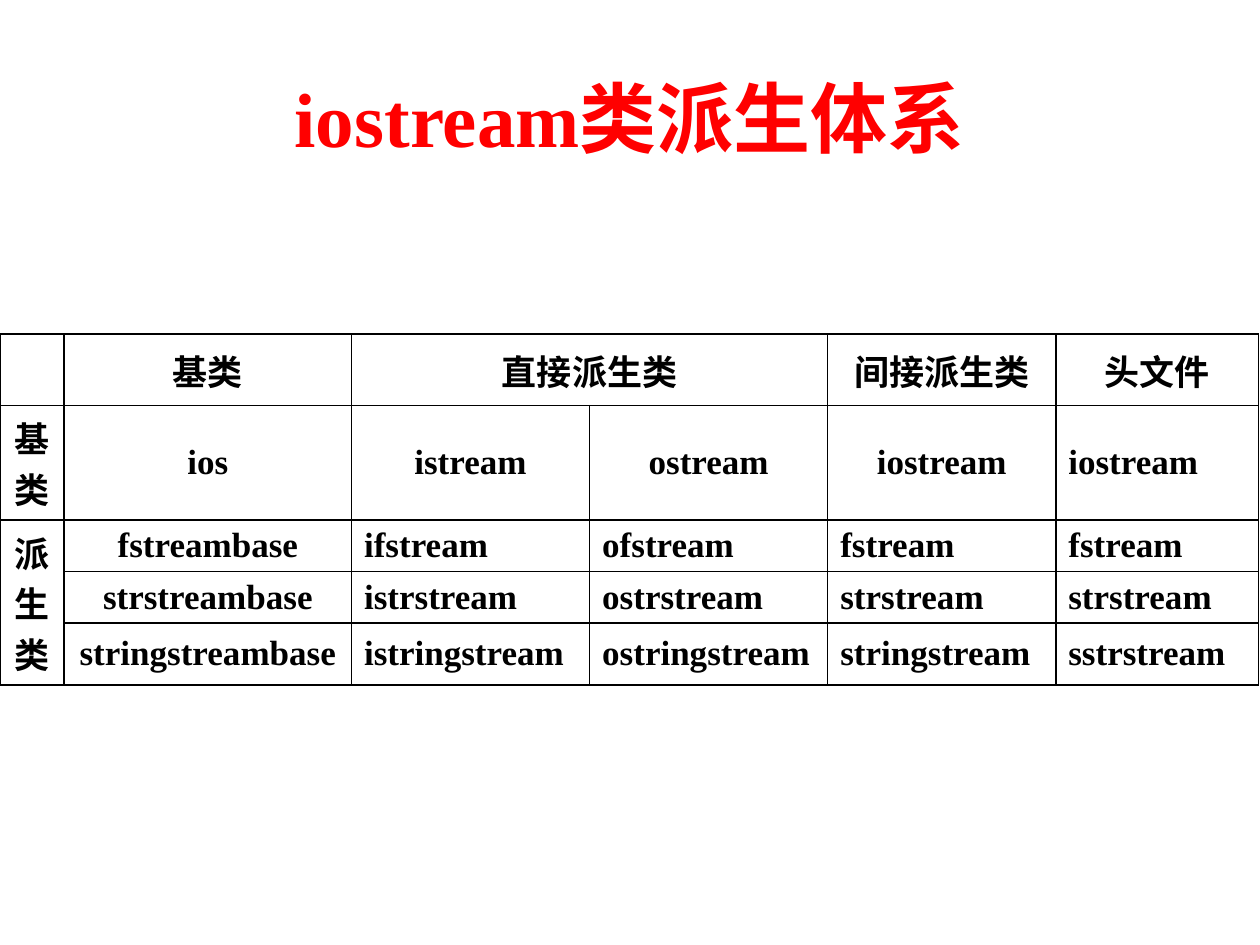
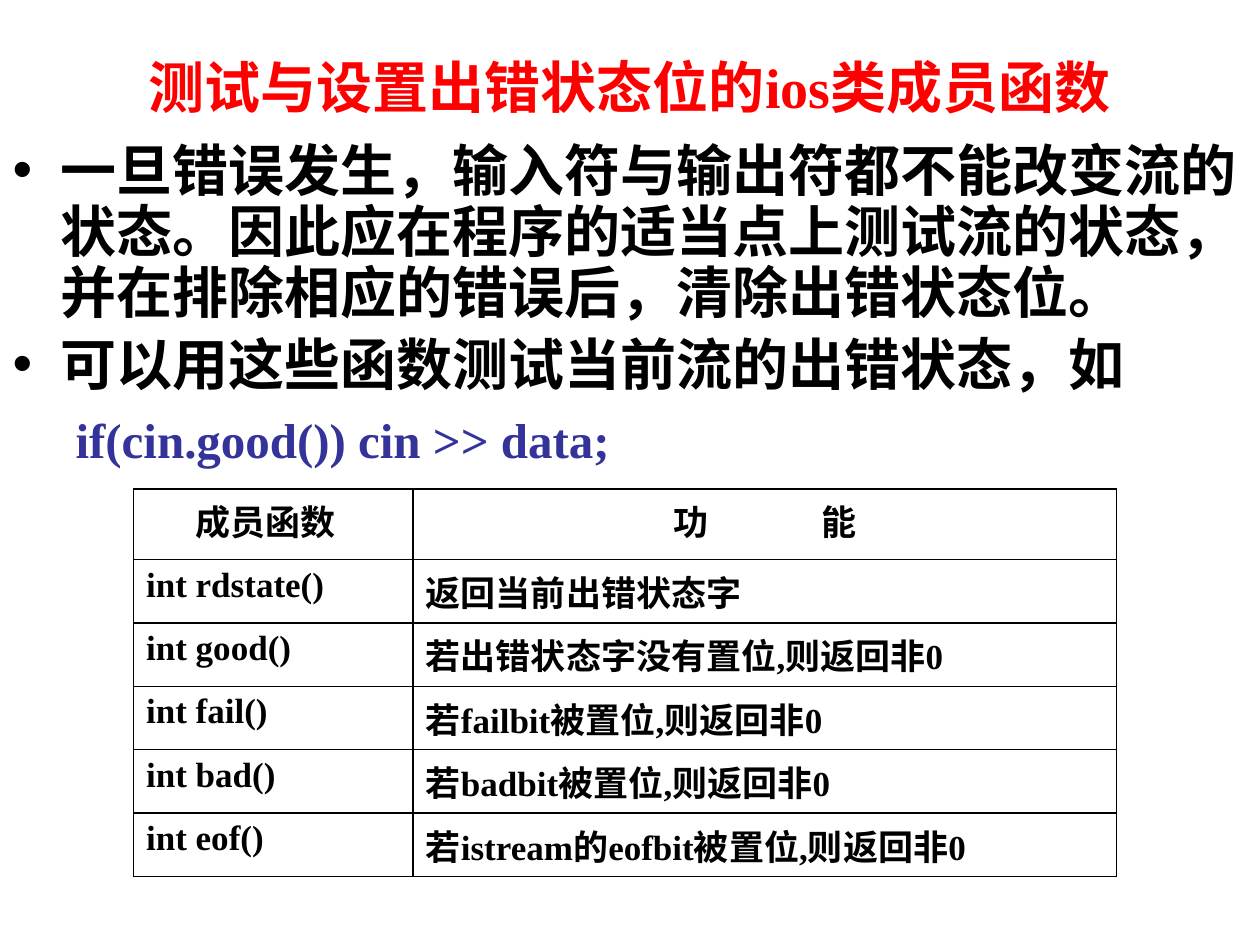
from pptx import Presentation
from pptx import util as u
from pptx.dml.color import RGBColor
from pptx.enum import text
from pptx.oxml import parse_xml
from pptx.oxml.ns import nsdecls, qn

INK = dict(title="FF0000", body="000000", code="333399", paper="FFFFFF", line="000000")
LATIN, HAN = "Times New Roman", "Noto Sans CJK SC"
MID, TOP = text.MSO_ANCHOR.MIDDLE, text.MSO_ANCHOR.TOP
LEFT, CENTER = text.PP_ALIGN.LEFT, text.PP_ALIGN.CENTER

TREE = dict(
    box=(0, 2.65, 10, 2.63),
    cols=[0.51, 2.28, 1.89, 1.89, 1.81, 1.61],
    rows=[0.57] + [0.33] * 4,
    cells=[
        ["", "基类", "直接派生类", "", "间接派生类", "头文件"],
        ["基类", "ios", "istream", "ostream", "iostream", "iostream"],
        ["派\n生\n类", "fstreambase", "ifstream", "ofstream", "fstream", "fstream"],
        ["", "strstreambase", "istrstream", "ostrstream", "strstream", "strstream"],
        ["", "stringstreambase", "istringstream", "ostringstream", "stringstream", "sstrstream"],
    ],
    spans=[(0, 2, 0, 3), (2, 0, 4, 0)],
    side=1, anchor=MID, indent=0,
    center=lambda r, c: r == 0 or c < 2 or (r == 1 and c < 5),
)
STATE = dict(
    box=(1.06, 3.88, 7.8, 3.02),
    cols=[2.22, 5.58],
    rows=[0.56] + [0.49] * 5,
    cells=[
        ["成员函数  ", "功 能"],
        ["int rdstate()", "返回当前出错状态字"],
        ["int good()", "若出错状态字没有置位,则返回非0"],
        ["int fail()", "若failbit被置位,则返回非0"],
        ["int bad()", "若badbit被置位,则返回非0"],
        ["int eof()", "若istream的eofbit被置位,则返回非0"],
    ],
    spans=[], side=0, anchor=TOP, indent=0.38,
    center=lambda r, c: r == 0,
)
POINTS = [
    ("一旦错误发生，输入符与输出符都不能改变流的状态。因此应在程序的适当点上测试流的状态，"
     "并在排除相应的错误后，清除出错状态位。", 0, 32, "body"),
    ("可以用这些函数测试当前流的出错状态，如", 0, 32, "body"),
    ("if(cin.good()) cin >> data;", 1, 28, "code"),
]
HANG = [(0.38, -0.38), (0.81, -0.31)]
GAP = 60


def paint(para, size, tone, face=LATIN):
    for run in para.runs:
        font = run.font
        font.size, font.bold, font.name = u.Pt(size), True, face
        font.color.rgb = RGBColor.from_string(INK[tone])
        font._element.find(qn("a:latin")).addnext(
            parse_xml(f'<a:ea {nsdecls("a")} typeface="{HAN}"/>'))


def hang(para, left, first):
    props = para._p.get_or_add_pPr()
    props.set("marL", str(u.Inches(left)))
    props.set("indent", str(u.Inches(first)))
    return props


def place(shape, box):
    shape.left, shape.top, shape.width, shape.height = map(u.Inches, box)


def head(slide, words, box, size):
    title = slide.shapes.title
    place(title, box)
    frame = title.text_frame
    frame.text = words
    frame.auto_size = text.MSO_AUTO_SIZE.NONE
    frame.vertical_anchor = MID
    frame.paragraphs[0].alignment = CENTER
    paint(frame.paragraphs[0], size, "title")


def edge(cell):
    props = cell._tc.get_or_add_tcPr()
    for spot, side in enumerate(("lnL", "lnR", "lnT", "lnB")):
        props.insert(spot, parse_xml(
            f'<a:{side} {nsdecls("a")} w="{u.Pt(1)}"><a:solidFill>'
            f'<a:srgbClr val="{INK["line"]}"/></a:solidFill></a:{side}>'))


def grid(slide, data):
    cells = data["cells"]
    frame = slide.shapes.add_table(len(cells), len(cells[0]), *map(u.Inches, data["box"]))
    table = frame.table
    for col, wide in zip(table.columns, data["cols"]):
        col.width = u.Inches(wide)
    for row, tall in zip(table.rows, data["rows"]):
        row.height = u.Inches(tall)
    for r, line in enumerate(cells):
        for c, words in enumerate(line):
            cell = table.cell(r, c)
            cell.fill.solid()
            cell.fill.fore_color.rgb = RGBColor.from_string(INK["paper"])
            edge(cell)
            cell.vertical_anchor = data["anchor"]
            cell.text_frame.text = words
            face = HAN if r == 0 or c < data["side"] else LATIN
            for para in cell.text_frame.paragraphs:
                para.alignment = CENTER if data["center"](r, c) else LEFT
                hang(para, data["indent"], -data["indent"])
                paint(para, 20, "body", face)
    for r, c, down, right in data["spans"]:
        table.cell(r, c).merge(table.cell(max(r, down), max(c, right)))
    place(frame, data["box"])
    return table


def widen(para):
    first, last = para.text.split()
    para.clear()
    for part in (first, " ", last):
        para.add_run().text = part
    paint(para, 20, "body", HAN)
    para.runs[1].font._element.set("spc", str(GAP * 100))


def listing(slide, box):
    body = slide.placeholders[1]
    place(body, box)
    frame = body.text_frame
    frame.text = "\n".join(point[0] for point in POINTS)
    frame.auto_size = text.MSO_AUTO_SIZE.NONE
    frame.vertical_anchor = TOP
    for para, (_, level, size, tone) in zip(frame.paragraphs, POINTS):
        para.level = level
        para.line_spacing = u.Pt(35)
        para.space_before = para.space_after = u.Pt(3)
        mark = '<a:buNone {}/>' if level else '<a:buChar {} char="•"/>'
        hang(para, *HANG[level]).append(parse_xml(mark.format(nsdecls("a"))))
        paint(para, size, tone)


deck = Presentation()
deck.slide_width, deck.slide_height = u.Inches(10), u.Inches(7.5)

tree = deck.slides.add_slide(deck.slide_layouts[5])
head(tree, "iostream类派生体系", (0.5, 0.3, 9, 1.25), 44)
grid(tree, TREE)

state = deck.slides.add_slide(deck.slide_layouts[1])
head(state, "测试与设置出错状态位的ios类成员函数", (0.5, 0.3, 9, 0.77), 32)
listing(state, (0, 1.07, 10, 2.63))
table = grid(state, STATE)
widen(table.cell(0, 1).text_frame.paragraphs[0])

deck.save("out.pptx")
